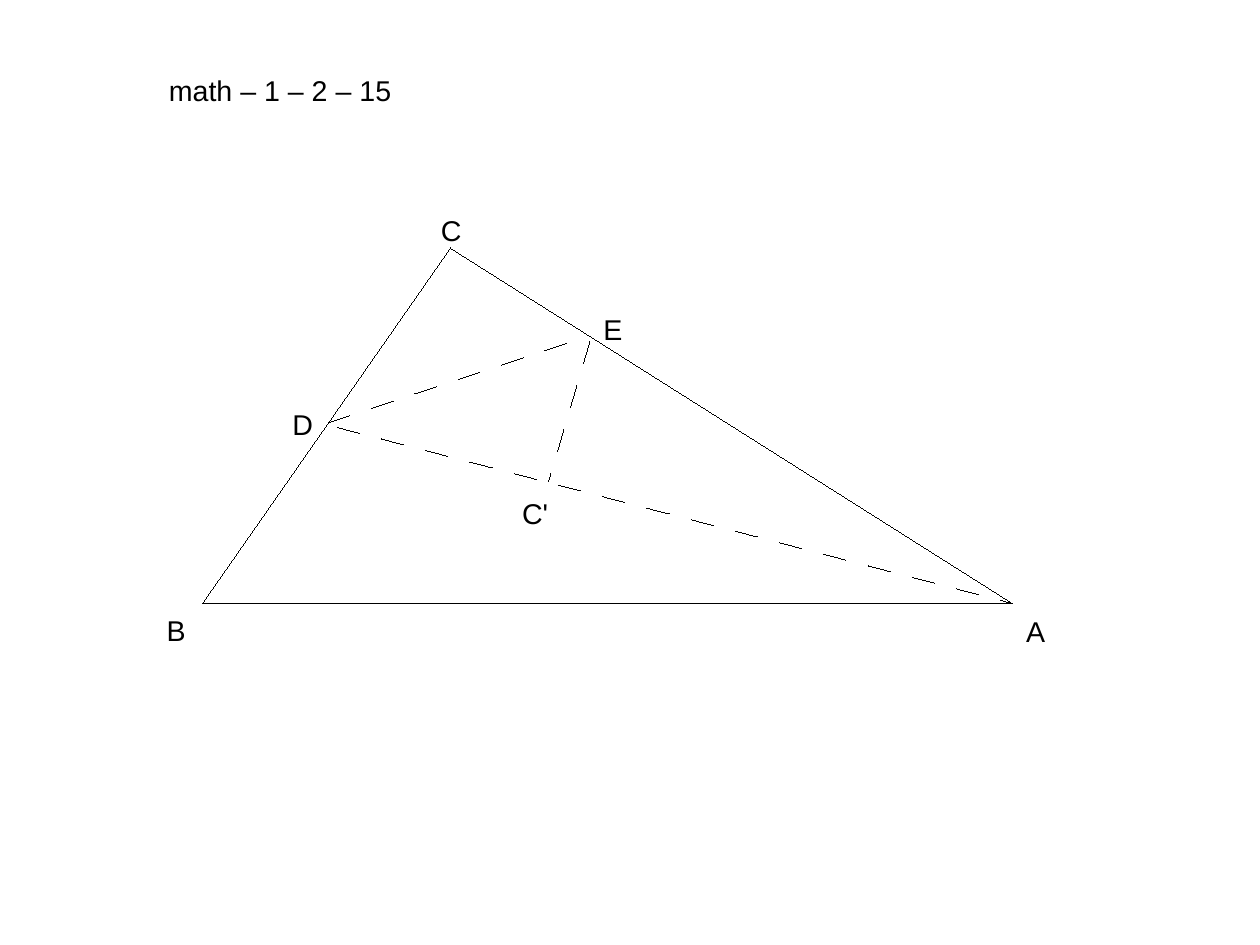
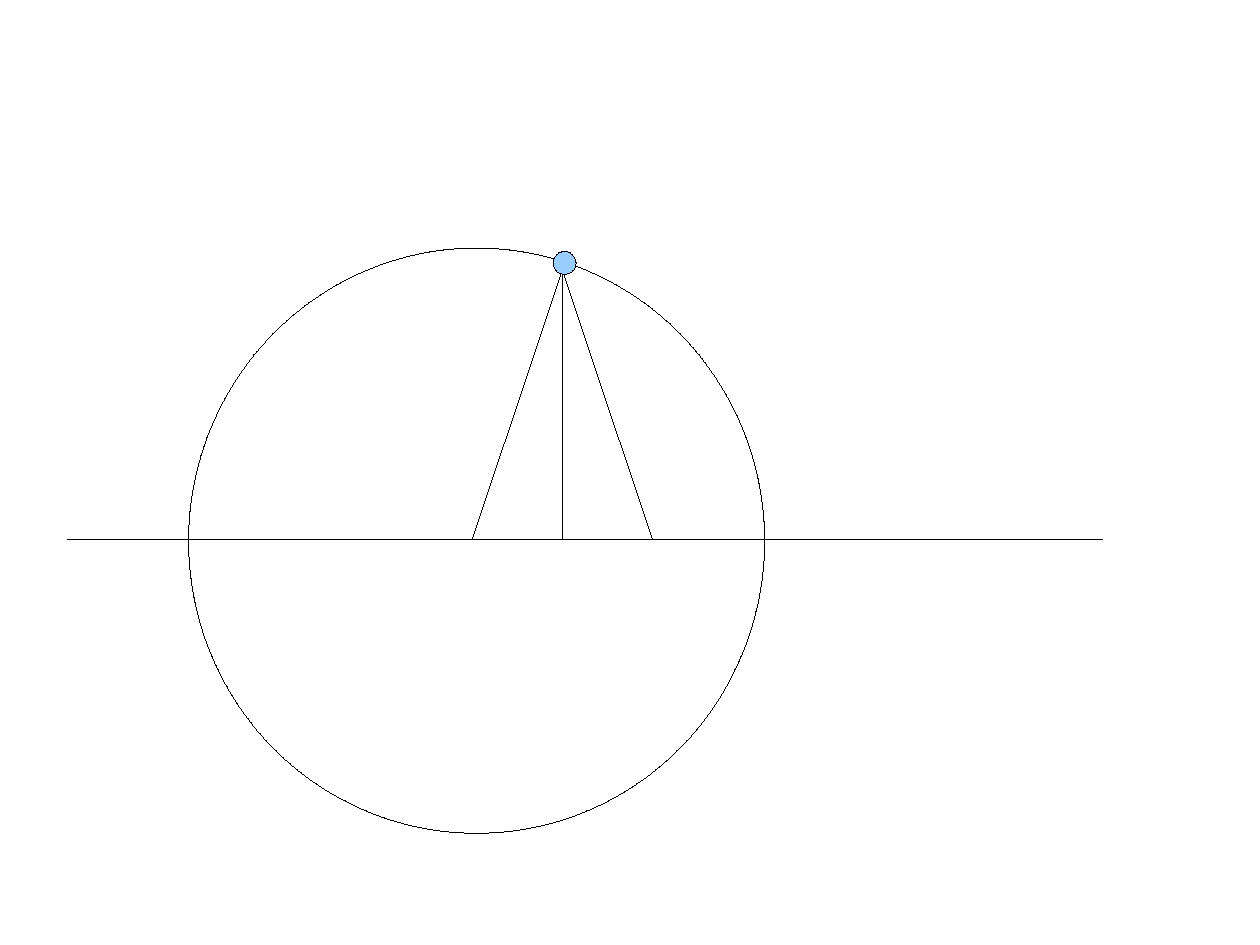
from lxml.etree import SubElement
from pptx import Presentation
from pptx.dml.color import RGBColor
from pptx.enum.shapes import MSO_CONNECTOR as Connector, MSO_SHAPE as Shape
from pptx.enum.text import MSO_AUTO_SIZE as AutoSize
from pptx.oxml.ns import qn
from pptx.util import Inches, Pt

BLACK, WHITE, SKY = "000000", "FFFFFF", "99CCFF"
CM_PER_INCH = 2.54


def colour(hex_text):
    return RGBColor.from_string(hex_text)


class Sketch:
    font = "Arial"
    size = 18
    text_height = 0.38
    dash_percent = 1885

    def __init__(self, width, height):
        self.deck = Presentation()
        self.deck.slide_width = Inches(width)
        self.deck.slide_height = Inches(height)
        self.slide = None

    def new_slide(self):
        self.slide = self.deck.slides.add_slide(self.deck.slide_layouts[6])
        background = self.slide.background.fill
        background.solid()
        background.fore_color.rgb = colour(WHITE)

    def hairline(self, shape):
        shape.line.color.rgb = colour(BLACK)
        outline = shape.element.spPr.find(qn("a:ln"))
        outline.set("w", "0")
        return outline

    def line(self, start, end, dashed=False):
        points = [Inches(value) for value in (*start, *end)]
        connector = self.slide.shapes.add_connector(Connector.STRAIGHT, *points)
        outline = self.hairline(connector)
        if dashed:
            dashes = SubElement(outline, qn("a:custDash"))
            length = str(self.dash_percent * 1000)
            SubElement(dashes, qn("a:ds"), d=length, sp=length)
        SubElement(connector.element.spPr, qn("a:effectLst"))

    def ellipse(self, left, top, width, height, fill):
        frame = [Inches(value) for value in (left, top, width, height)]
        oval = self.slide.shapes.add_shape(Shape.OVAL, *frame)
        oval.shadow.inherit = False
        oval.fill.solid()
        oval.fill.fore_color.rgb = colour(fill)
        self.hairline(oval)

    def label(self, text, left, top, width):
        frame = [Inches(value) for value in (left, top, width, self.text_height)]
        box = self.slide.shapes.add_textbox(*frame)
        text_frame = box.text_frame
        text_frame.text = text
        text_frame.word_wrap = False
        text_frame.auto_size = AutoSize.SHAPE_TO_FIT_TEXT
        font = text_frame.paragraphs[0].runs[0].font
        font.name = self.font
        font.size = Pt(self.size)
        font.color.rgb = colour(BLACK)


def folded_triangle(sketch):
    sketch.new_slide()
    a, b, c = (8.86, 5.28), (1.77, 5.28), (3.94, 2.17)
    for start, end in ((b, a), (b, c), (c, a)):
        sketch.line(start, end)
    for start, end in (
        ((2.87, 3.7), (5.12, 2.95)),
        ((2.95, 3.74), a),
        ((5.16, 2.99), (4.8, 4.21)),
    ):
        sketch.line(start, end, dashed=True)
    for text, left, top, width in (
        ("math – 1 – 2 – 15", 1.38, 0.59, 2.16),
        ("B", 1.36, 5.31, 0.36),
        ("A", 8.88, 5.32, 0.36),
        ("E", 5.18, 2.68, 0.36),
        ("C", 3.76, 1.81, 0.38),
        ("D", 2.46, 3.51, 0.38),
        ("C'", 4.47, 4.29, 0.43),
    ):
        sketch.label(text, left, top, width)


def point_on_circle(sketch):
    sketch.new_slide()
    axis, apex, spread = 4.72, (4.92, 2.36), 0.79
    sketch.ellipse(1.65, 2.17, 5.04, 5.12, WHITE)
    sketch.line((0.59, axis), (9.65, axis))
    for step in (-1, 0, 1):
        sketch.line(apex, (apex[0] + step * spread, axis))
    sketch.ellipse(4.84, 2.2, 0.2, 0.2, SKY)


def main():
    sketch = Sketch(28 / CM_PER_INCH, 21 / CM_PER_INCH)
    folded_triangle(sketch)
    point_on_circle(sketch)
    sketch.deck.save("out.pptx")


if __name__ == "__main__":
    main()
